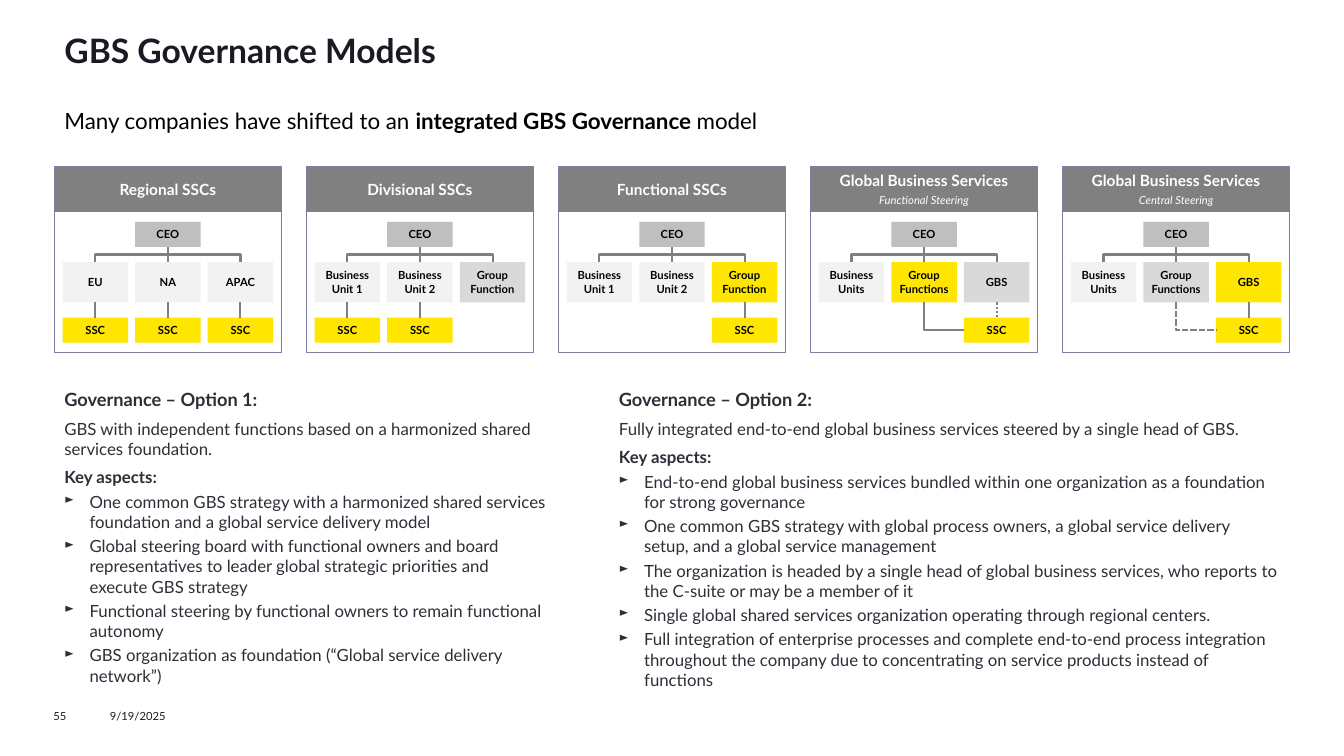
import dataclasses

import pptx
import pptx.dml.color
import pptx.enum.dml
import pptx.enum.shapes
import pptx.enum.text
import pptx.util
from lxml import etree
from pptx.oxml import ns

Inches = pptx.util.Inches
Dash = pptx.enum.dml.MSO_LINE
Kind = pptx.enum.shapes.MSO_CONNECTOR
Align = pptx.enum.text.PP_ALIGN
Anchor = pptx.enum.text.MSO_ANCHOR
TOP, LEFT, BOTTOM = 0, 1, 2


@dataclasses.dataclass(frozen=True)
class Theme:
    font: str = "Lato"
    ink: str = "1A1A24"
    body: str = "2E2E38"
    black: str = "000000"
    white: str = "FFFFFF"
    frame: str = "7D7DA1"
    gray: str = "808080"
    ceo: str = "BFBFBF"
    group: str = "D9D9D9"
    unit: str = "F2F2F2"
    yellow: str = "FFE600"
    title_size: int = 24
    lead_size: int = 16
    option_size: int = 13
    body_size: int = 12
    header_size: int = 11
    small_size: int = 8


THEME = Theme()

TITLE = "GBS Governance Models"
# Asterisks switch bold on and off.
LEAD = "Many companies have shifted to an *integrated GBS Governance *model"
PAGE_NUMBER, DATE = "55", "9/19/2025"

# Links: unit column, SSC column, dash style.
MODELS = [
    {"name": "Regional SSCs", "steering": None,
     "units": [("EU", THEME.unit), ("NA", THEME.unit), ("APAC", THEME.unit)],
     "links": [(0, 0, None), (1, 1, None), (2, 2, None)]},
    {"name": "Divisional SSCs", "steering": None,
     "units": [("Business\nUnit 1", THEME.unit), ("Business\nUnit 2", THEME.unit),
               ("Group\nFunction", THEME.group)],
     "links": [(0, 0, None), (1, 1, None)]},
    {"name": "Functional SSCs", "steering": None,
     "units": [("Business\nUnit 1", THEME.unit), ("Business\nUnit 2", THEME.unit),
               ("Group\nFunction", THEME.yellow)],
     "links": [(2, 2, None)]},
    {"name": "Global Business Services", "steering": "Functional Steering",
     "units": [("Business\nUnits", THEME.unit), ("Group Functions", THEME.yellow),
               ("GBS", THEME.group)],
     "links": [(1, 2, None), (2, 2, Dash.ROUND_DOT)]},
    {"name": "Global Business Services", "steering": "Central Steering",
     "units": [("Business\nUnits", THEME.unit), ("Group Functions", THEME.group),
               ("GBS", THEME.yellow)],
     "links": [(1, 2, Dash.SQUARE_DOT), (2, 2, None)]},
]

OPTIONS = [
    {"left": 0.54, "width": 5, "heading": "Governance – Option 1:",
     "summary": "GBS with independent functions based on a harmonized shared services foundation.",
     "aspects": [
         "One common GBS strategy with a harmonized shared services foundation and a global service delivery model",
         "Global steering board with functional owners and board representatives to leader global strategic priorities and execute GBS strategy",
         "Functional steering by functional owners to remain functional autonomy",
         "GBS organization as foundation (“Global service delivery network”)"]},
    {"left": 6.04, "width": 6.75, "heading": "Governance – Option 2:",
     "summary": "Fully integrated end-to-end global business services steered by a single head of GBS.",
     "aspects": [
         "End-to-end global business services bundled within one organization as a foundation for strong governance",
         "One common GBS strategy with global process owners, a global service delivery setup, and a global service management",
         "The organization is headed by a single head of global business services, who reports to the C-suite or may be a member of it",
         "Single global shared services organization operating through regional centers.",
         "Full integration of enterprise processes and complete end-to-end process integration throughout the company due to concentrating on service products instead of functions"]},
]

MARGIN = 0.54
PANEL_WIDTH, PANEL_PITCH = 2.25, 2.5
UNIT_INSET, UNIT_WIDTH, UNIT_PITCH = 0.08, 0.65, 0.72


def rgb(color):
    return pptx.dml.color.RGBColor.from_string(color)


def set_frame(box, insets, anchor):
    """Insets run left, top, right, bottom."""
    frame = box.text_frame
    frame.word_wrap = True
    frame.vertical_anchor = anchor
    (frame.margin_left, frame.margin_top,
     frame.margin_right, frame.margin_bottom) = map(Inches, insets)


def add_text_box(page, left, top, width, height, insets=(0, 0, 0, 0), anchor=Anchor.TOP):
    box = page.shapes.add_textbox(*map(Inches, (left, top, width, height)))
    set_frame(box, insets, anchor)
    return box


def add_rectangle(page, left, top, width, height, fill=None, line=None):
    box = page.shapes.add_shape(pptx.enum.shapes.MSO_SHAPE.RECTANGLE,
                                *map(Inches, (left, top, width, height)))
    box.shadow.inherit = False
    if fill:
        box.fill.solid()
        box.fill.fore_color.rgb = rgb(fill)
    else:
        box.fill.background()
    if line:
        box.line.color.rgb = rgb(line)
        box.line.width = pptx.util.Pt(0.5)
    else:
        box.line.fill.background()
    set_frame(box, (0.05, 0.05, 0.05, 0.05), Anchor.MIDDLE)
    return box


def write(box, text, size, color, bold=False, italic=False, align=Align.LEFT,
          before=0, bullet=False):
    """Add one paragraph, using the first one while it is still empty."""
    frame = box.text_frame
    para = frame.paragraphs[0] if not frame.text else frame.add_paragraph()
    para.alignment = align
    if before:
        para.space_before = pptx.util.Pt(before)
    if bullet:
        props = para._p.get_or_add_pPr()
        props.set("marL", str(Inches(0.25)))
        props.set("indent", str(Inches(-0.25)))
        etree.SubElement(props, ns.qn("a:buSzPct")).set("val", "75000")
        etree.SubElement(props, ns.qn("a:buChar")).set("char", "►")
    for row, line in enumerate(text.split("\n")):
        if row:
            para.add_line_break()
        for index, part in enumerate(line.split("*")):
            span = para.add_run()
            span.text = part
            span.font.name = THEME.font
            span.font.size = pptx.util.Pt(size)
            span.font.color.rgb = rgb(color)
            span.font.bold = bold != (index % 2 == 1)
            span.font.italic = italic


def add_node(page, text, left, top, height, fill):
    node = add_rectangle(page, left, top, UNIT_WIDTH, height, fill)
    write(node, text, THEME.small_size, THEME.black, bold=True, align=Align.CENTER)
    return node


def connect(page, upper, lower, end_side=TOP, dash=None):
    """Join the bottom of upper to lower, with an elbow when they are not in line."""
    straight = upper.left == lower.left
    line = page.shapes.add_connector(Kind.STRAIGHT if straight else Kind.ELBOW, 0, 0, 0, 0)
    line.begin_connect(upper, BOTTOM)
    line.end_connect(lower, end_side)
    line.line.color.rgb = rgb(THEME.gray)
    line.line.width = pptx.util.Pt(1.5)
    if dash:
        line.line.dash_style = dash
    props = line.element.spPr
    etree.SubElement(props, ns.qn("a:effectLst"))
    if straight:
        return
    # The elbow leaves downwards, so its frame is turned a quarter about its centre.
    run, drop = line.end_x - line.begin_x, line.end_y - line.begin_y
    center_x, center_y = line.begin_x + run // 2, line.begin_y + drop // 2
    line.width, line.height = drop, abs(run)
    line.left, line.top = center_x - drop // 2, center_y - abs(run) // 2
    transform = props.find(ns.qn("a:xfrm"))
    transform.set("rot", str((270 if run > 0 else 90) * 60000))
    transform.set("flipH", "1" if run > 0 else "0")
    transform.set("flipV", "0")
    if end_side == LEFT:
        props.find(ns.qn("a:prstGeom")).set("prst", "bentConnector2")


def add_model(page, model, left):
    add_rectangle(page, left, 2.1, PANEL_WIDTH, 1.4, line=THEME.frame)
    header = add_rectangle(page, left, 1.65, PANEL_WIDTH, 0.45, THEME.gray, THEME.frame)
    write(header, model["name"], THEME.header_size, THEME.white, bold=True, align=Align.CENTER)
    if model["steering"]:
        write(header, model["steering"], THEME.small_size, THEME.white, italic=True,
              align=Align.CENTER, before=3)
    columns = [left + UNIT_INSET + UNIT_PITCH * index for index in range(3)]
    ceo = add_node(page, "CEO", columns[1], 2.2, 0.25, THEME.ceo)
    units = [add_node(page, text, column, 2.6, 0.4, fill)
             for column, (text, fill) in zip(columns, model["units"])]
    centers = {column: add_node(page, "SSC", columns[column], 3.15, 0.25, THEME.yellow)
               for column in sorted({link[1] for link in model["links"]})}
    for unit in units:
        connect(page, ceo, unit)
    for unit, center, dash in model["links"]:
        connect(page, units[unit], centers[center], TOP if unit == center else LEFT, dash)


def add_option(page, option):
    box = add_text_box(page, option["left"], 3.75, option["width"], 3.2, (0.1, 0.1, 0.1, 0))
    write(box, option["heading"], THEME.option_size, THEME.body, bold=True)
    write(box, option["summary"], THEME.body_size, THEME.body, before=6)
    write(box, "Key aspects:", THEME.body_size, THEME.body, bold=True, before=6)
    for aspect in option["aspects"]:
        write(box, aspect, THEME.body_size, THEME.body, before=3, bullet=True)


def main():
    deck = pptx.Presentation()
    deck.slide_width, deck.slide_height = Inches(13.33), Inches(7.5)
    page = deck.slides.add_slide(deck.slide_layouts[6])
    title = add_text_box(page, MARGIN, 0.25, 12.25, 0.6, (0.1, 0.05, 0.1, 0))
    write(title, TITLE, THEME.title_size, THEME.ink, bold=True)
    lead = add_text_box(page, MARGIN, 1, 12.25, 0.4, (0.1, 0.05, 0.1, 0.05), Anchor.MIDDLE)
    write(lead, LEAD, THEME.lead_size, THEME.black)
    for index, model in enumerate(MODELS):
        add_model(page, model, MARGIN + PANEL_PITCH * index)
    for option in OPTIONS:
        add_option(page, option)
    for text, left, width in ((PAGE_NUMBER, 0.53, 0.56), (DATE, 1.09, 1.4)):
        write(add_text_box(page, left, 7.04, width, 0.13), text, THEME.small_size, THEME.ink)
    deck.save("out.pptx")


if __name__ == "__main__":
    main()
